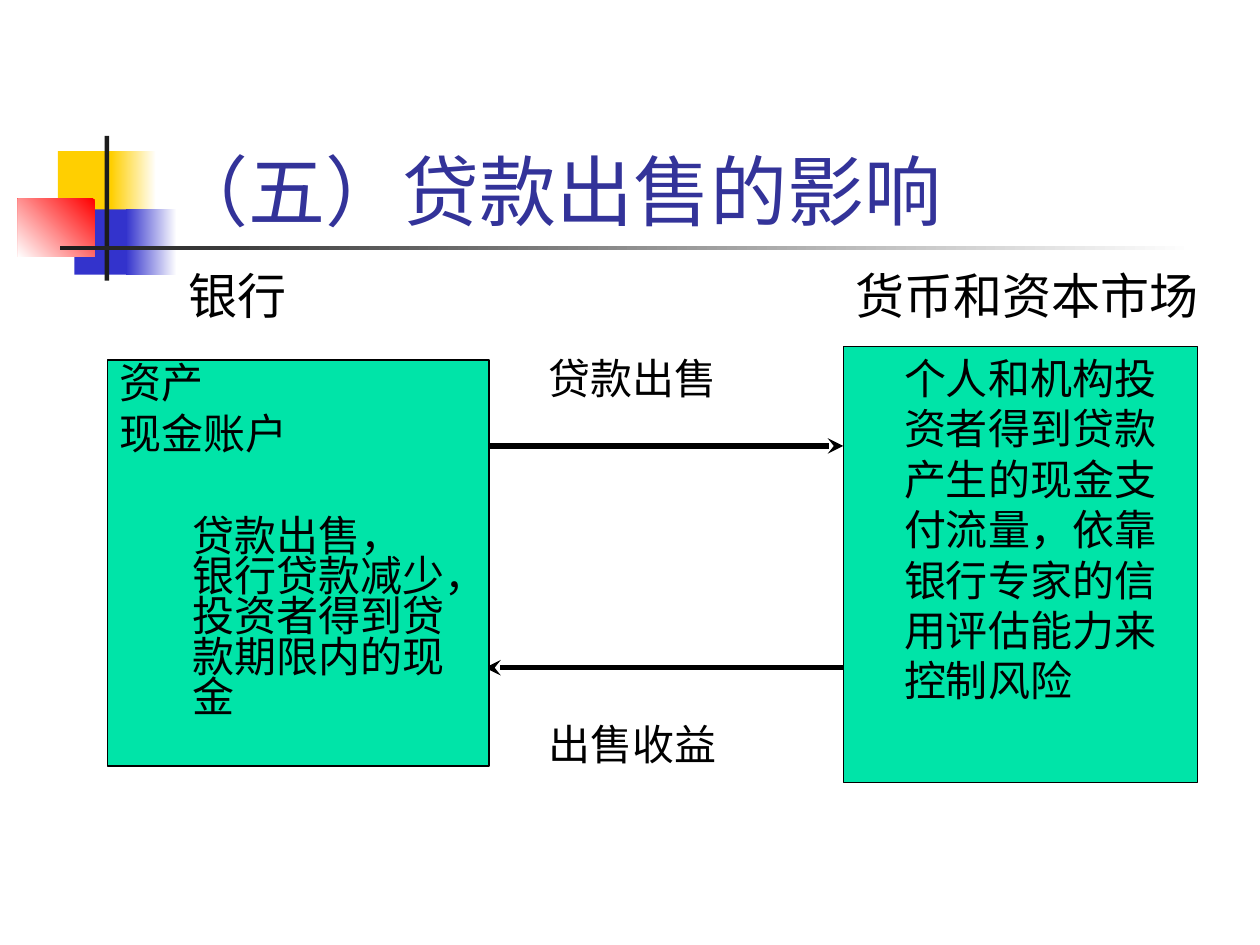
from typing import NamedTuple, Optional

from lxml import etree
from pptx import Presentation
from pptx.dml.color import RGBColor
from pptx.enum.shapes import MSO_CONNECTOR, MSO_SHAPE
from pptx.enum.text import MSO_ANCHOR, MSO_AUTO_SIZE, PP_ALIGN
from pptx.oxml.ns import qn
from pptx.util import Cm, Pt

RECTANGLE = MSO_SHAPE.RECTANGLE
STRAIGHT = MSO_CONNECTOR.STRAIGHT
LEFT = PP_ALIGN.LEFT
TOP, BOTTOM = MSO_ANCHOR.TOP, MSO_ANCHOR.BOTTOM
NO_AUTOFIT = MSO_AUTO_SIZE.NONE

TITLE_FONT, LABEL_FONT = "Karla", "Times New Roman"
BLACK, WHITE, CHARCOAL = "000000", "FFFFFF", "1C1C1C"
YELLOW, BLUE, RED = "FFCF01", "3333CC", "FF0000"
TITLE_BLUE, GREEN = "333399", "00E4A8"


class Area(NamedTuple):
    """Left, top, width and height in centimetres."""
    left: float
    top: float
    width: float
    height: float


class Ornament(NamedTuple):
    area: Area
    color: str
    end_color: Optional[str] = None
    angle: float = 180


class Arrow(NamedTuple):
    start: float
    end: float
    y: float


class Label(NamedTuple):
    text: str
    area: Area
    size: int


class Entry(NamedTuple):
    """A paragraph of a box, with its indent (cm) and space before (pt)."""
    text: str
    indent: float = 0
    space_before: float = 0


class Box(NamedTuple):
    area: Area
    entries: list[Entry]
    line_spacing: float


ORNAMENTS = [
    Ornament(Area(1.17, 3.05, 1.22, 1.32), YELLOW),
    Ornament(Area(2.24, 3.05, 0.91, 1.32), WHITE, YELLOW),
    Ornament(Area(1.5, 4.22, 1.17, 1.32), BLUE),
    Ornament(Area(2.54, 4.22, 1.02, 1.32), WHITE, BLUE),
    Ornament(Area(0.36, 4.01, 1.55, 1.17), RED, WHITE, 225),
    Ornament(Area(2.11, 2.74, 0.09, 2.92), CHARCOAL),
    Ornament(Area(1.22, 4.95, 22.86, 0.09), WHITE, CHARCOAL),
]
ARROWS = [Arrow(8.84, 17, 8.99), Arrow(17.93, 9.78, 13.46)]
LABELS = [
    Label("贷款出售", Area(10.8, 6.98, 4.06, 1.27), 24),
    Label("出售收益", Area(10.8, 14.35, 4.78, 1.27), 24),
    Label("银行", Area(3.56, 5.23, 2.69, 1.45), 28),
    Label("货币和资本市场", Area(17, 5.23, 7.77, 1.45), 28),
]
BANK = Box(
    Area(2.16, 7.26, 7.7, 8.18),
    [
        Entry("资产"),
        Entry("现金账户", space_before=6),
        Entry("贷款出售，\v银行贷款减少，投资者得到贷款期限内的现金", 1.47, 35),
    ],
    0.8,
)
MARKET = Box(
    Area(17, 6.98, 7.14, 8.79),
    [Entry("个人和机构投资者得到贷款产生的现金支付流量，依靠银行专家的信用评估能力来控制风险", 0.97)],
    1.0,
)


def rgb(color: str) -> RGBColor:
    return RGBColor.from_string(color)


def lengths(area: Area) -> list[Cm]:
    return [Cm(value) for value in area]


def place(shape, area: Area) -> None:
    shape.left, shape.top, shape.width, shape.height = lengths(area)


def write(paragraph, text: str, *, font: str, size: float, color: str = BLACK,
          indent: float = 0, space_before: float = 0, line_spacing: float = 1.0) -> None:
    """Fill a left-aligned paragraph without a bullet."""
    properties = paragraph._p.get_or_add_pPr()
    properties.set("marL", str(Cm(indent)))
    properties.set("indent", "0")
    etree.SubElement(properties, qn("a:buNone"))
    paragraph.alignment = LEFT
    paragraph.space_before = Pt(space_before)
    paragraph.line_spacing = line_spacing
    paragraph.text = text
    for run in paragraph.runs:
        run.font.name = font
        run.font.size = Pt(size)
        run.font.color.rgb = rgb(color)


def prepare_frame(shape, anchor=TOP):
    frame = shape.text_frame
    frame.word_wrap = True
    frame.auto_size = NO_AUTOFIT
    frame.vertical_anchor = anchor
    return frame


def draw_ornament(slide, ornament: Ornament) -> None:
    shape = slide.shapes.add_shape(RECTANGLE, *lengths(ornament.area))
    shape.shadow.inherit = False
    shape.line.fill.background()
    if ornament.end_color is None:
        shape.fill.solid()
        shape.fill.fore_color.rgb = rgb(ornament.color)
        return
    shape.fill.gradient()
    shape.fill.gradient_angle = ornament.angle
    for stop, color in zip(shape.fill.gradient_stops, (ornament.color, ornament.end_color)):
        stop.color.rgb = rgb(color)


def draw_arrow(slide, arrow: Arrow) -> None:
    connector = slide.shapes.add_connector(
        STRAIGHT, Cm(arrow.start), Cm(arrow.y), Cm(arrow.end), Cm(arrow.y))
    connector.line.color.rgb = rgb(BLACK)
    connector.line.width = Pt(3)
    etree.SubElement(connector.line._get_or_add_ln(), qn("a:tailEnd"), type="stealth")
    etree.SubElement(connector._element.spPr, qn("a:effectLst"))


def draw_label(slide, label: Label) -> None:
    shape = slide.shapes.add_textbox(*lengths(label.area))
    frame = prepare_frame(shape)
    write(frame.paragraphs[0], label.text, font=LABEL_FONT, size=label.size)


def fill_box(shape, box: Box) -> None:
    place(shape, box.area)
    shape.fill.solid()
    shape.fill.fore_color.rgb = rgb(GREEN)
    shape.line.color.rgb = rgb(BLACK)
    shape.line.width = Pt(0.75)
    frame = prepare_frame(shape)
    for index, entry in enumerate(box.entries):
        paragraph = frame.add_paragraph() if index else frame.paragraphs[0]
        write(paragraph, entry.text, font=TITLE_FONT, size=24, indent=entry.indent,
              space_before=entry.space_before, line_spacing=box.line_spacing)


def main() -> None:
    presentation = Presentation()
    presentation.slide_width, presentation.slide_height = Cm(25.4), Cm(19.05)
    two_content_layout = presentation.slide_layouts[3]
    slide = presentation.slides.add_slide(two_content_layout)
    title, bank, market = slide.placeholders

    for ornament in ORNAMENTS:
        draw_ornament(slide, ornament)
    for arrow in ARROWS:
        draw_arrow(slide, arrow)

    place(title, Area(3.2, 1.7, 21.64, 3.18))
    frame = prepare_frame(title, BOTTOM)
    write(frame.paragraphs[0], "（五）贷款出售的影响", font=TITLE_FONT, size=44, color=TITLE_BLUE)
    fill_box(bank, BANK)
    fill_box(market, MARKET)
    # The boxes cover the ends of the arrows, so they go in front.
    for placeholder in (title, market, bank):
        slide.shapes._spTree.append(placeholder._element)

    for label in LABELS:
        draw_label(slide, label)
    presentation.save("out.pptx")


if __name__ == "__main__":
    main()
